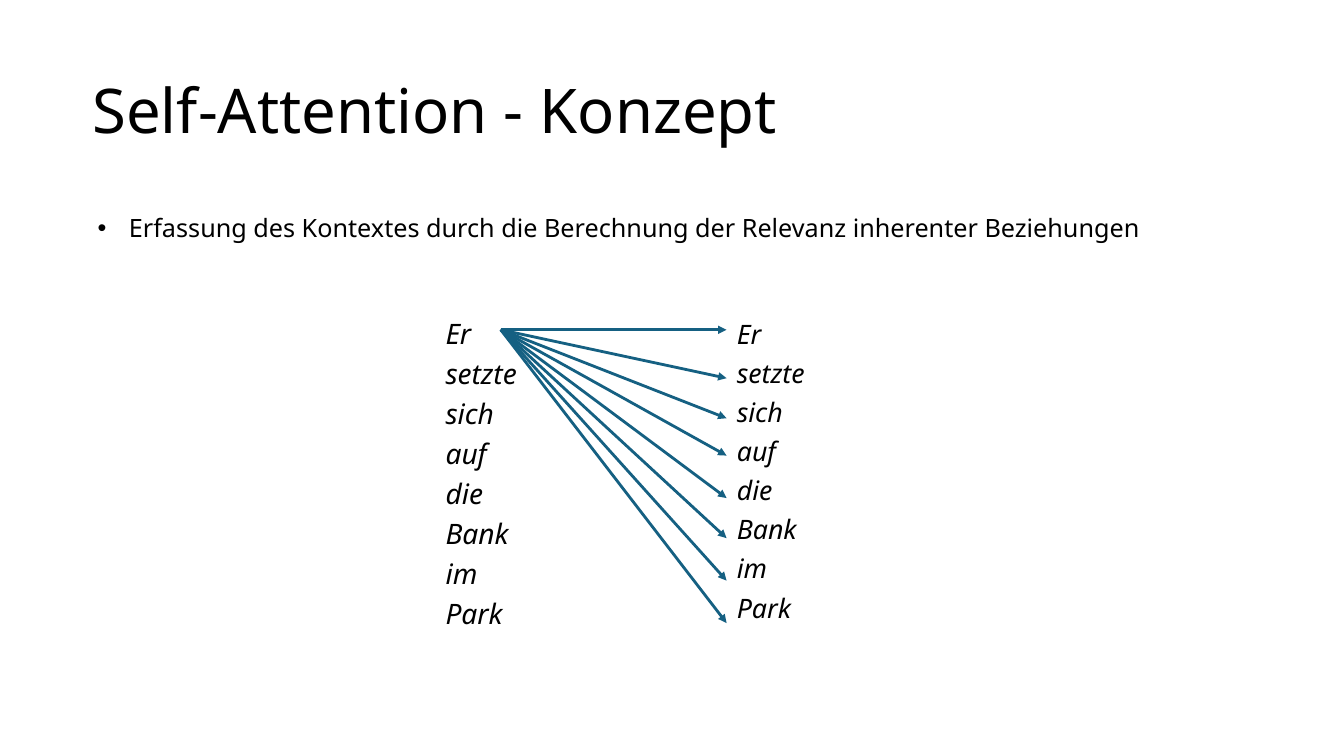
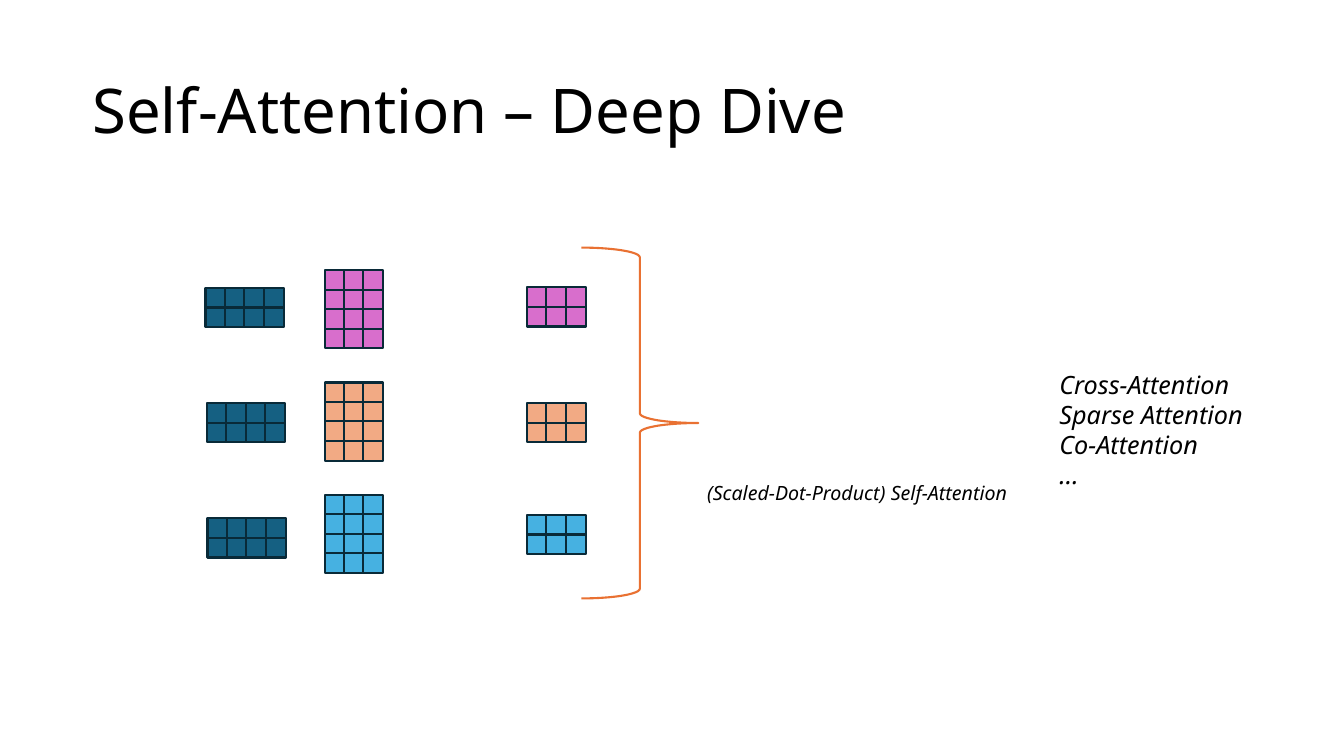
"""Builds two slides on self-attention: the concept and a closer look at its matrices."""
from dataclasses import dataclass

from lxml.etree import SubElement
from pptx import Presentation
from pptx.dml.color import RGBColor
from pptx.enum.shapes import MSO_CONNECTOR, MSO_SHAPE
from pptx.enum.text import MSO_ANCHOR
from pptx.oxml.ns import qn
from pptx.util import Cm, Pt


@dataclass(frozen=True)
class Theme:
    font: str = "Noto Sans"
    text: str = "000000"
    arrow: str = "156082"
    tokens: str = "156082"
    query: str = "D86ECC"
    key: str = "F2AA84"
    value: str = "46B1E1"
    cell_line: str = "092A38"
    brace: str = "E97132"
    title_size: float = 44
    body_size: float = 18
    caption_size: float = 14
    source_word_size: float = 20.1
    target_word_size: float = 19.1


THEME = Theme()

CONCEPT_TITLE = "Self-Attention - Konzept"
CONCEPT_POINT = "Erfassung des Kontextes durch die Berechnung der Relevanz inherenter Beziehungen"
WORD_ARROW_ENDS = {
    "Er": 8.31, "setzte": 9.53, "sich": 10.54, "auf": 11.48,
    "die": 12.55, "Bank": 13.56, "im": 14.63, "Park": 15.7,
}
ARROW_START = (12.62, 8.31)
ARROW_END_LEFT = 18.31
WORD_COLUMNS = [
    ((11.23, 8.06, 3, 9), THEME.source_word_size, 6.9),
    ((18.57, 8.09, 3, 9), THEME.target_word_size, 7.3),
]

DIVE_TITLE = "Self-Attention – Deep Dive"
CAPTION = "(Scaled-Dot-Product) Self-Attention"
VARIANTS = ["Cross-Attention", "Sparse Attention", "Co-Attention", "…"]
CELL_SIZE = 0.5
CELL_PITCH = 0.49
PROJECTIONS = [
    (THEME.query, (5.18, 7.26), (8.18, 6.81), (13.28, 7.24)),
    (THEME.key, (5.21, 10.16), (8.18, 9.64), (13.28, 10.16)),
    (THEME.value, (5.23, 13.06), (8.18, 12.47), (13.28, 12.98)),
]
TOKEN_GRID, WEIGHT_GRID, RESULT_GRID = (2, 4), (4, 3), (2, 3)


def add_text(slide, lines, box, size, italic=False, gap=0, spacing=1.0, wrap=True):
    frame = slide.shapes.add_textbox(*map(Cm, box)).text_frame
    frame.word_wrap = wrap
    frame.margin_left = frame.margin_top = frame.margin_right = frame.margin_bottom = 0
    frame.text = "\n".join(lines)
    for paragraph in frame.paragraphs:
        paragraph.font.name = THEME.font
        paragraph.font.size = Pt(size)
        paragraph.font.italic = italic
        paragraph.font.color.rgb = RGBColor.from_string(THEME.text)
        paragraph.line_spacing = spacing
        paragraph.space_after = Pt(gap)
    return frame


def add_titled_slide(deck, title):
    slide = deck.slides.add_slide(deck.slide_layouts[6])
    heading = add_text(slide, [title], (2.33, 1.02, 29.21, 3.68), THEME.title_size, spacing=0.9)
    heading.vertical_anchor = MSO_ANCHOR.MIDDLE
    return slide


def add_bullet(paragraph, indent):
    properties = paragraph._p.get_or_add_pPr()
    properties.set("marL", str(Cm(indent)))
    properties.set("indent", str(-Cm(indent)))
    SubElement(properties, qn("a:buFont")).set("typeface", "Arial")
    SubElement(properties, qn("a:buChar")).set("char", "•")
    default_run = properties.find(qn("a:defRPr"))
    if default_run is not None:
        properties.append(default_run)


def add_arrow(slide, start, end):
    arrow = slide.shapes.add_connector(MSO_CONNECTOR.STRAIGHT, *map(Cm, start + end))
    arrow.line.color.rgb = RGBColor.from_string(THEME.arrow)
    arrow.line.width = Pt(0)
    SubElement(arrow.line._get_or_add_ln(), qn("a:tailEnd")).set("type", "triangle")
    SubElement(arrow._element.spPr, qn("a:effectLst"))


def add_outlined(shapes, kind, box, outline):
    shape = shapes.add_shape(kind, *map(Cm, box))
    shape.shadow.inherit = False
    shape.fill.background()
    shape.line.color.rgb = RGBColor.from_string(outline)
    shape.line.width = Pt(1.5)
    return shape


def add_matrix(slide, corner, grid, color):
    matrix = slide.shapes.add_group_shape()
    left, top = corner
    rows, columns = grid
    for row in range(rows):
        for column in range(columns):
            box = (left + column * CELL_PITCH, top + row * CELL_PITCH, CELL_SIZE, CELL_SIZE)
            cell = add_outlined(matrix.shapes, MSO_SHAPE.RECTANGLE, box, THEME.cell_line)
            cell.fill.solid()
            cell.fill.fore_color.rgb = RGBColor.from_string(color)


def build_concept(deck):
    slide = add_titled_slide(deck, CONCEPT_TITLE)
    for box, size, gap in WORD_COLUMNS:
        add_text(slide, WORD_ARROW_ENDS, box, size, italic=True, gap=gap, spacing=0.9)
    for end_top in WORD_ARROW_ENDS.values():
        add_arrow(slide, ARROW_START, (ARROW_END_LEFT, end_top))
    point = add_text(slide, [CONCEPT_POINT], (2.46, 5.36, 28, 0.87), THEME.body_size)
    add_bullet(point.paragraphs[0], 0.79)


def build_dive(deck):
    slide = add_titled_slide(deck, DIVE_TITLE)
    for color, tokens, weights, result in PROJECTIONS:
        add_matrix(slide, tokens, TOKEN_GRID, THEME.tokens)
        add_matrix(slide, weights, WEIGHT_GRID, color)
        add_matrix(slide, result, RESULT_GRID, color)
    brace = add_outlined(slide.shapes, MSO_SHAPE.RIGHT_BRACE, (14.65, 6.24, 2.95, 8.84), THEME.brace)
    brace.adjustments[0] = 0.083
    add_text(slide, [CAPTION], (17.82, 12.12, 7.6, 0.7), THEME.caption_size, italic=True, wrap=False)
    add_text(slide, VARIANTS, (26.7, 9.3, 5.2, 3.1), THEME.body_size, italic=True)


def main():
    deck = Presentation()
    deck.slide_width, deck.slide_height = Cm(33.87), Cm(19.05)
    build_concept(deck)
    build_dive(deck)
    deck.save("out.pptx")


if __name__ == "__main__":
    main()
